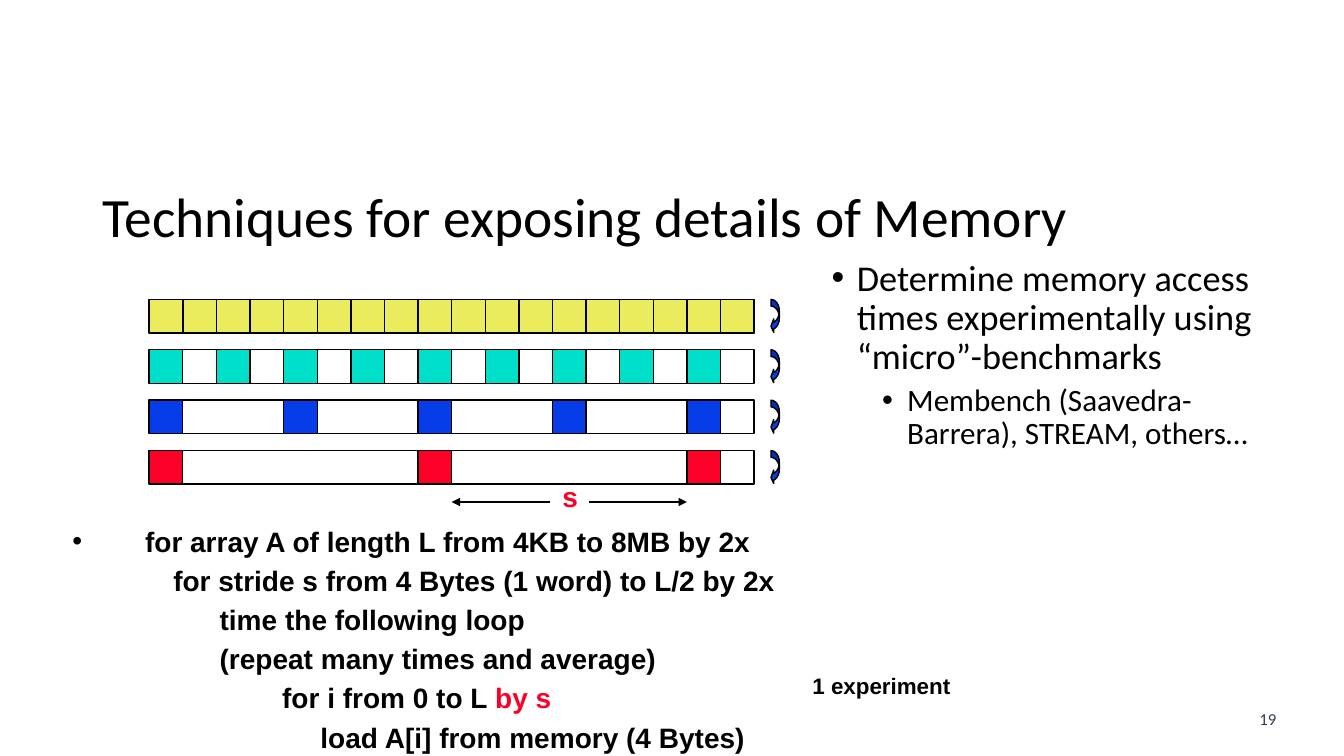
from lxml import etree
from pptx import Presentation
from pptx import util as u
from pptx.dml.color import RGBColor
from pptx.enum import shapes, text
from pptx.oxml.ns import qn

COLORS = {
    "ink": "000000", "yellow": "EAEC5E", "teal": "00DFCA",
    "blue": "063DE8", "red": "FC0128", "slate": "333F50",
}

# Memory grid: square words, one array row every one and a half words
WORD = 1 / 3
WORDS = 18
GRID_LEFT, GRID_TOP = 1.48, 2.97
ROW_PITCH = 1.5 * WORD
STRIDES = [(1, "yellow"), (2, "teal"), (4, "blue"), (8, "red")]

CODE = [
    (0.72, [("for array A of length L from 4KB to 8MB by 2x", "ink")]),
    (1.0, [("for stride s from 4 Bytes (1 word) to L/2 by 2x", "ink")]),
    (1.46, [("time the following loop", "ink")]),
    (1.46, [("(repeat many times and average)", "ink")]),
    (2.08, [("for i from 0 to L ", "ink"), ("by s", "red")]),
    (2.46, [("load A[i] from memory (4 Bytes)", "ink")]),
]


def rgb(name):
    return RGBColor.from_string(COLORS[name])


def column(index):
    return GRID_LEFT + index * WORD


def row(index):
    return GRID_TOP + index * ROW_PITCH


def add_box(page, left, top, width, height, wrap=True):
    box = page.shapes.add_textbox(*map(u.Inches, (left, top, width, height)))
    box.text_frame.word_wrap = wrap
    return box.text_frame


def add_para(frame, spans, size, font="Arial", bold=False, before=0, line=None,
             margin=0, hang=0, align=text.PP_ALIGN.LEFT):
    """Write (words, colour) spans as one paragraph; a hang gives it a bullet."""
    para = frame.paragraphs[0]
    if para.runs:
        para = frame.add_paragraph()
    para.alignment = align
    para.space_before = u.Pt(before)
    if line:
        para.line_spacing = line
    properties = para._p.get_or_add_pPr()
    properties.set("marL", str(u.Inches(margin)))
    properties.set("indent", str(u.Inches(-hang)))
    if hang:
        etree.SubElement(properties, qn("a:buFont"), typeface="Arial")
        etree.SubElement(properties, qn("a:buChar"), char="•")
    para.font.size, para.font.name, para.font.bold = u.Pt(size), font, bold
    for words, color in spans:
        span = para.add_run()
        span.text = words
        span.font.color.rgb = rgb(color)


def add_outlined(page, kind, left, top, width, height, fill=None):
    shape = page.shapes.add_shape(kind, *map(u.Inches, (left, top, width, height)))
    shape.shadow.inherit = False
    shape.line.color.rgb = rgb("ink")
    shape.line.width = u.Pt(1)
    if fill:
        shape.fill.solid()
        shape.fill.fore_color.rgb = rgb(fill)
    else:
        shape.fill.background()
    return shape


def add_array(page, index, stride, color):
    """Draw one array, its touched words and its loop arrow."""
    kinds = shapes.MSO_SHAPE
    top = row(index)
    add_outlined(page, kinds.RECTANGLE, GRID_LEFT, top, WORDS * WORD, WORD)
    for word in range(0, WORDS, stride):
        add_outlined(page, kinds.RECTANGLE, column(word), top, WORD, WORD, color)
    loop = add_outlined(page, kinds.CURVED_LEFT_ARROW, column(WORDS + 0.5), top,
                        WORD / 4, WORD, "blue")
    for position, value in enumerate((0.8, 1.6, 0.33)):
        loop.adjustments[position] = value


def add_arrow(page, start, end, height):
    arrow = page.shapes.add_connector(
        shapes.MSO_CONNECTOR.STRAIGHT,
        *map(u.Inches, (start, height, end, height)))
    arrow.line.color.rgb = rgb("ink")
    arrow.line.width = u.Pt(1)
    etree.SubElement(arrow.line._get_or_add_ln(), qn("a:tailEnd"), type="triangle")
    etree.SubElement(arrow._element.spPr, qn("a:effectLst"))


def add_stride_label(page):
    """Mark the gap between the last two touched words of the widest stride."""
    height = row(4) + 0.01
    add_arrow(page, 5.84, column(16), height)
    add_arrow(page, 5.46, column(9), height)
    label = add_box(page, 5.48, 4.71, 0.36, 0.43, wrap=False)
    add_para(label, [("s", "red")], 20, bold=True)


def main():
    deck = Presentation()
    deck.slide_width, deck.slide_height = u.Inches(13.33), u.Inches(7.5)
    page = deck.slides.add_slide(deck.slide_layouts[6])

    title = add_box(page, 0.92, 1.83, 11.5, 0.7)
    title.vertical_anchor = text.MSO_ANCHOR.MIDDLE
    add_para(title, [("Techniques for exposing details of Memory", "ink")],
             39.6, "Calibri", line=0.9)

    body = add_box(page, 8.15, 2.53, 4.43, 2.45)
    add_para(body, [("Determine memory access times experimentally using "
                     "“micro”-benchmarks", "ink")],
             25.9, "Calibri", before=10, line=0.9, margin=0.25, hang=0.25)
    add_para(body, [("Membench (Saavedra-Barrera), STREAM, others…", "ink")],
             22.2, "Calibri", before=5, line=0.9, margin=0.75, hang=0.25)

    for index, (stride, color) in enumerate(STRIDES):
        add_array(page, index, stride, color)
    add_stride_label(page)

    code = add_box(page, 0.62, 5.15, 8.38, 2.35)
    for number, (margin, spans) in enumerate(CODE):
        add_para(code, spans, 20, bold=True, before=4, margin=margin,
                 hang=margin if number == 0 else 0)

    experiment = add_box(page, 7.96, 6.62, 1.77, 0.37)
    add_para(experiment, [("1 experiment", "ink")], 16, bold=True)

    number = add_box(page, 12.34, 6.98, 0.47, 0.3)
    add_para(number, [("19", "slate")], 12, "Calibri",
             align=text.PP_ALIGN.CENTER)

    deck.save("out.pptx")


if __name__ == "__main__":
    main()
